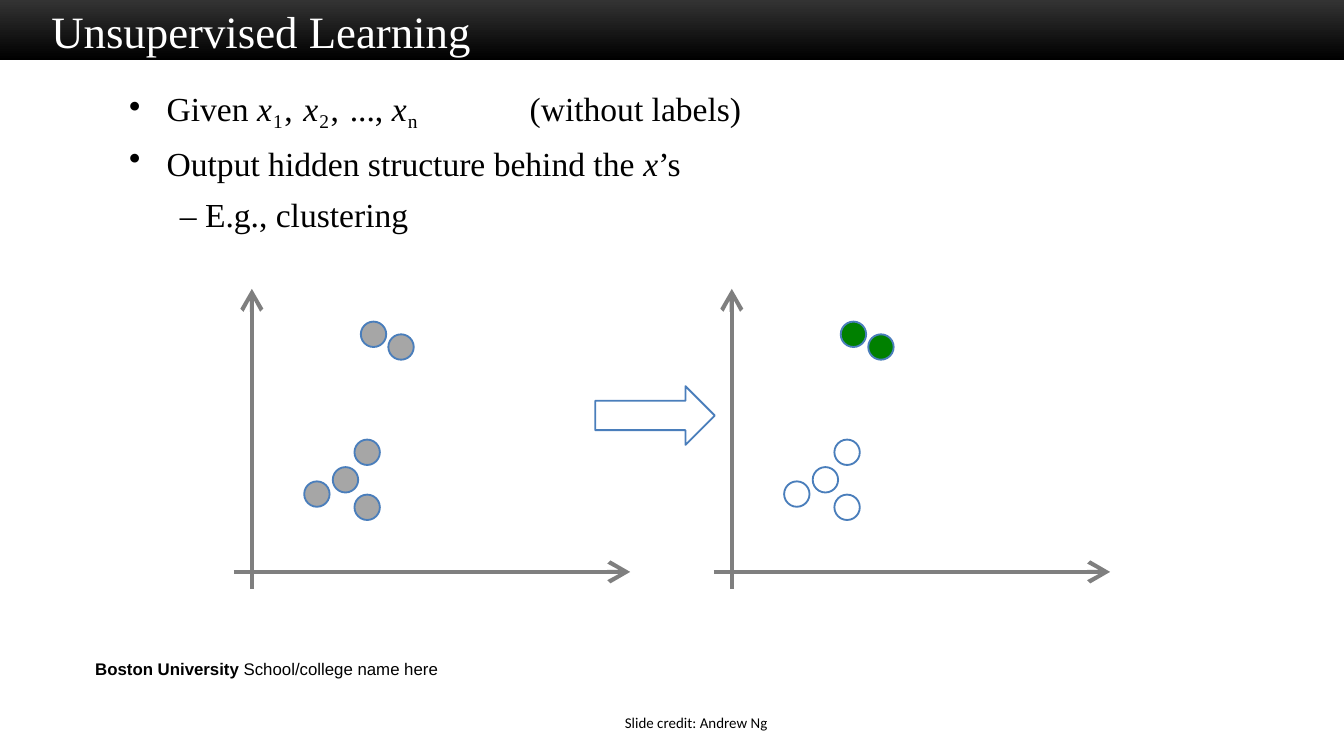
from pptx import Presentation
from pptx import util as u
from pptx.dml.color import RGBColor
from pptx.enum import shapes, text
from pptx.oxml.ns import qn
from lxml import etree

THEME = {
    "serif": "Times New Roman", "sans": "Arial", "note": "Calibri",
    "title": 24, "body": 18, "foot": 9, "credit": 8,
    "white": "FFFFFF", "ink": "000000", "bar": ("333333", "000000"),
    "axis": "7F7F7F", "edge": "4A7EBB", "gray": "A6A6A6", "green": "008000",
}

# Run styles, as run property attributes
STYLE = {
    "": {},
    "bold": {"b": "1"},
    "var": {"i": "1", "spc": "60"},
    "end": {"i": "1", "spc": "-50"},
    "sub": {"baseline": "-19000", "spc": "80"},
    "gap": {"spc": "60"},
}

TITLE = [("Unsupervised Learning", "")]
FOOT = [("Boston University", "bold"), (" School/college name here", "")]
CREDIT = [("Slide credit: Andrew Ng", "")]

# Body lines: bulleted or not, space before, runs
BODY = [
    (True, 0, [("Given ", ""), ("x", "var"), ("1", "sub"), (", ", "gap"),
               ("x", "var"), ("2", "sub"), (", ", "gap"), ("..., ", ""),
               ("x", "var"), ("n\t", "sub"), ("(without labels)", "")]),
    (True, 5.7, [("Output hidden structure behind the ", ""), ("x", "end"), ("’s", "")]),
    (False, 5.7, [("– E.g., clustering", "")]),
]

# Plots, in cm: shift to the right, then fill of the low and the high cluster
PLOTS = [(0, "gray", "gray"), (9.07, None, "green")]
LOW = [(6.7, 8.31), (6.7, 9.35), (5.75, 9.1), (6.29, 8.83)]
HIGH = [(7.34, 6.32), (6.82, 6.08)]
AXES = [(4.42, 10.81, 11.91, 10.81), (4.76, 11.13, 4.76, 5.46)]
DOT = 0.48
ARROW = (11.25, 7.3, 2.26, 1.11)

deck = Presentation()
deck.slide_width, deck.slide_height = u.Cm(25.4), u.Cm(14.29)
slide = deck.slides.add_slide(deck.slide_layouts[6])


def rgb(name):
    return RGBColor.from_string(THEME.get(name, name))


def cms(vals):
    return [u.Cm(v) for v in vals]


def add_runs(para, runs, font, size, color="ink"):
    for words, style in runs:
        run = para.add_run()
        run.text = words
        run.font.name = THEME[font]
        run.font.size = u.Pt(THEME[size])
        run.font.color.rgb = rgb(color)
        for key, val in STYLE[style].items():
            run.font._element.set(key, val)


def add_box(place, inset):
    """Add a wrapping text box; inset is left and top, in cm."""
    frame = slide.shapes.add_textbox(*cms(place)).text_frame
    frame.word_wrap = True
    frame.vertical_anchor = text.MSO_ANCHOR.TOP
    frame.margin_left, frame.margin_top = cms(inset)
    frame.margin_right = frame.margin_bottom = 0
    return frame


def add_bullet(para):
    """Give a paragraph a hanging bullet and the tab stop for remarks."""
    props = para._p.get_or_add_pPr()
    props.set("marL", str(u.Cm(0.84)))
    props.set("indent", str(u.Cm(-0.71)))
    etree.SubElement(props, qn("a:buChar"), char="•")
    tabs = etree.SubElement(props, qn("a:tabLst"))
    etree.SubElement(tabs, qn("a:tab"), pos=str(u.Cm(7.7)), algn="l")


def add_shape(kind, place, fill=None):
    shape = slide.shapes.add_shape(kind, *cms(place))
    shape.shadow.inherit = False
    if fill:
        shape.fill.solid()
        shape.fill.fore_color.rgb = rgb(fill)
    else:
        shape.fill.background()
    shape.line.color.rgb = rgb("edge")
    shape.line.width = u.Pt(1)
    return shape


def add_axis(ends):
    axis = slide.shapes.add_connector(shapes.MSO_CONNECTOR.STRAIGHT, *cms(ends))
    axis.line.color.rgb = rgb("axis")
    axis.line.width = u.Pt(2.25)
    etree.SubElement(axis.line._get_or_add_ln(), qn("a:tailEnd"),
                     type="arrow", w="lg", len="lg")
    etree.SubElement(axis._element.spPr, qn("a:effectLst"))


bar = add_shape(shapes.MSO_SHAPE.RECTANGLE, (0, 0, 25.4, 1.14))
bar.line.fill.background()
bar.fill.gradient()
bar.fill.gradient_angle = 270
for stop, color in zip(bar.fill.gradient_stops, THEME["bar"]):
    stop.color.rgb = rgb(color)

frame = add_box((1.55, 12.32, 12.95, 0.64), (0.25, 0.13))
add_runs(frame.paragraphs[0], FOOT, "sans", "foot")
frame = add_box((0.94, -0.08, 16.43, 1.04), (0.03, 0.15))
add_runs(frame.paragraphs[0], TITLE, "serif", "title", "white")

frame = add_box((2.31, 1.42, 14.4, 2.97), (0, 0.25))
for num, (mark, space, runs) in enumerate(BODY):
    para = frame.add_paragraph() if num else frame.paragraphs[0]
    if mark:
        add_bullet(para)
    else:
        para._p.get_or_add_pPr().set("marL", str(u.Cm(1.09)))
    if space:
        para.space_before = u.Pt(space)
    add_runs(para, runs, "serif", "body")

for shift, low, high in PLOTS:
    for x1, y1, x2, y2 in AXES:
        add_axis((x1 + shift, y1, x2 + shift, y2))
    for dots, fill in ((LOW, low), (HIGH, high)):
        for x, y in dots:
            add_shape(shapes.MSO_SHAPE.OVAL, (x + shift, y, DOT, DOT), fill)
add_shape(shapes.MSO_SHAPE.RIGHT_ARROW, ARROW)

frame = add_box((11.53, 13.36, 12.7, 0.61), (0.28, 0.13))
add_runs(frame.paragraphs[0], CREDIT, "note", "credit")

deck.save("out.pptx")
